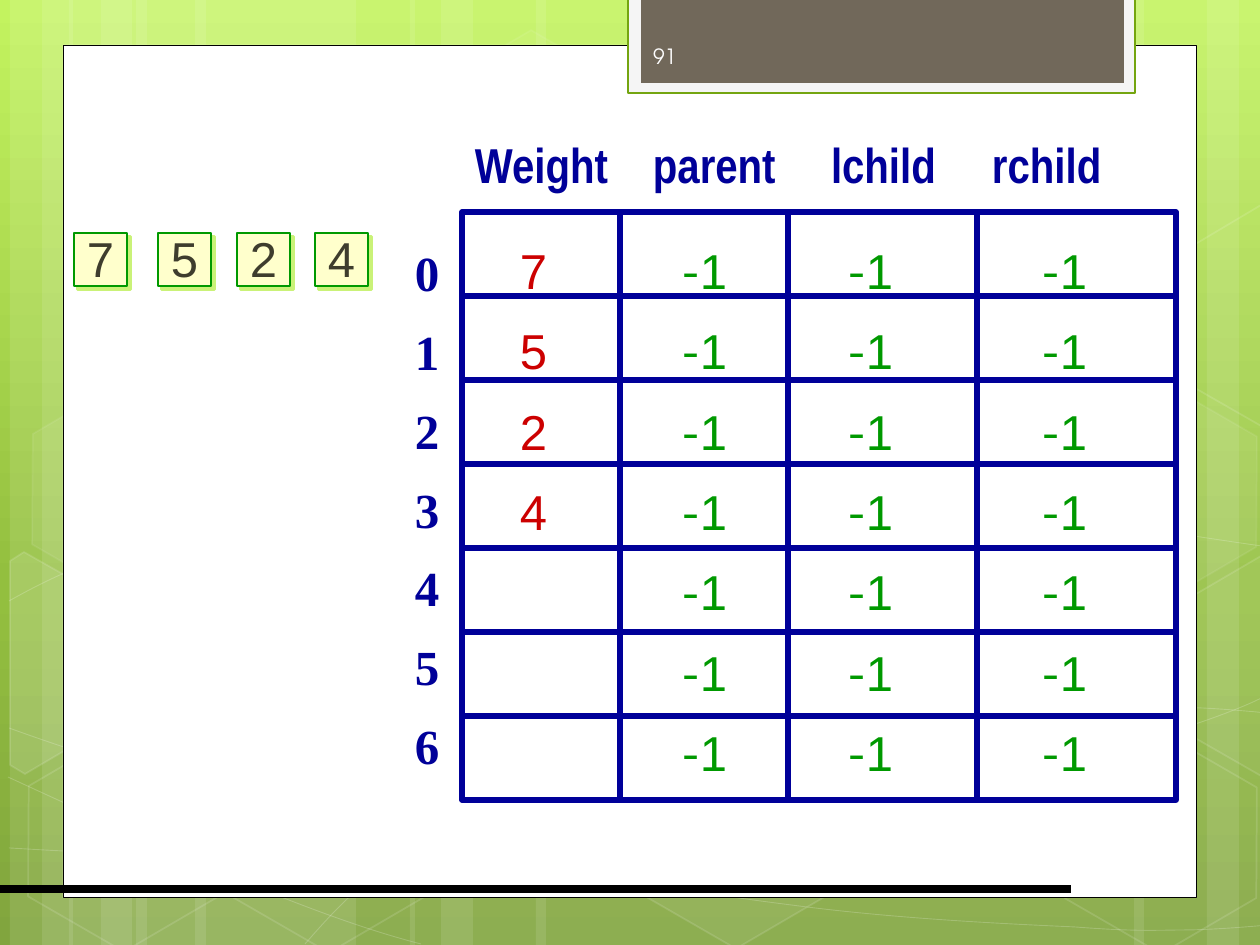
from copy import deepcopy
from typing import NamedTuple, Optional

from lxml.etree import SubElement
from pptx import Presentation
from pptx.dml.color import RGBColor
from pptx.enum.shapes import MSO_CONNECTOR as Connector, MSO_SHAPE as Preset
from pptx.enum.text import MSO_ANCHOR as Anchor, PP_ALIGN as Align
from pptx.oxml.ns import qn
from pptx.util import Emu, Inches, Pt

EMU_PER_PX = Inches(1) / 126
NAVY, GREEN, RED, WHITE = "000099", "009900", "CC0000", "FFFFFF"
NO_MARGINS = dict(margin_left=0, margin_right=0, margin_top=0, margin_bottom=0)


class Box(NamedTuple):
    left: int
    top: int
    width: int
    height: int


class Type(NamedTuple):
    name: str
    size: int
    colour: str
    bold: bool = False


class Hexagon(NamedTuple):
    left: int
    top: int
    fill_alpha: Optional[int]
    line_alpha: int


class CutHexagon(NamedTuple):
    points: list
    fill_alpha: Optional[int]


BAR_SPANS = [(136, 220), (10, 63), (42, 105), (195, 220), (69, 63), (101, 105),
             (924, 220), (1207, 63), (1134, 105), (536, 388), (410, 63), (441, 105)]

# Each curve is a start point followed by triples of cubic control points.
CURVES = [
    [(9, 848), (77, 852), (145, 856), (239, 854), (334, 853), (451, 850), (577, 838),
     (703, 825), (882, 801), (998, 777), (1113, 753), (1231, 716), (1269, 694)],
    [(9, 601), (45, 581), (82, 562), (152, 543), (224, 524), (326, 496), (437, 488),
     (549, 479), (685, 478), (824, 488), (963, 498), (1193, 537), (1269, 547)],
    [(8, 777), (160, 847), (311, 916), (421, 944)],
    [(9, 728), (48, 742), (88, 756), (161, 776), (234, 795), (344, 827), (450, 848),
     (554, 869), (687, 892), (791, 905), (896, 919), (1008, 924), (1075, 927),
     (1140, 932), (1158, 930), (1191, 930), (1223, 929), (1246, 927), (1269, 925)],
    [(305, 944), (327, 919), (350, 893), (381, 871), (411, 848), (454, 823), (489, 805),
     (524, 787), (546, 780), (592, 767), (638, 755), (722, 737), (766, 728),
     (811, 719), (818, 719), (857, 717), (896, 713), (958, 709), (1000, 708),
     (1045, 707), (1116, 708), (1116, 708), (1144, 708), (1173, 708), (1201, 708),
     (1223, 709), (1244, 711), (1256, 712), (1264, 713), (1260, 712), (1268, 713)],
]
HEXAGONS = [Hexagon(421, 45, 4, 8), Hexagon(626, 742, 6, 12), Hexagon(14, 745, None, 12),
            Hexagon(18, 393, 7, 8), Hexagon(219, 746, None, 12), Hexagon(949, 571, 10, 12),
            Hexagon(1051, 747, None, 12), Hexagon(1051, 396, 7, 8)]
CUT_HEXAGONS = [
    CutHexagon([(10, 561), (24, 552), (121, 607), (120, 718), (25, 774), (10, 765)], 10),
    CutHexagon([(1167, 611), (1261, 556), (1271, 562), (1271, 772), (1263, 777), (1167, 722)], 4),
    CutHexagon([(1167, 261), (1261, 205), (1273, 212), (1271, 422), (1263, 427), (1167, 372)], None),
]

WEIGHTS = ["7", "5", "2", "4"]
TILE_LEFTS = [74, 158, 237, 315]
ROWS, ROW_HEIGHT = 7, 84
GRID = Box(462, 212, 714, ROWS * ROW_HEIGHT)
DIVIDERS = [620, 788, 977]
HEADINGS = ["Weight", "parent", "lchild", "rchild"]
HEADING_STOPS = [178, 356, 517]
LINK_STOPS = [163, 329, 523]


def px(value: float) -> Emu:
    return Emu(round(value * EMU_PER_PX))


def colour(hex_code: str) -> RGBColor:
    return RGBColor.from_string(hex_code)


def apply(target, values: dict) -> None:
    for name, value in values.items():
        setattr(target, name, value)


def paint(fill, hex_code: Optional[str], alpha: Optional[int] = None) -> None:
    """Fill with a solid colour, alpha in percent; no colour means no fill."""
    if hex_code is None:
        fill.background()
        return
    fill.solid()
    fill.fore_color.rgb = colour(hex_code)
    if alpha is not None:
        tint = fill._xPr.find(f"{qn('a:solidFill')}/{qn('a:srgbClr')}")
        SubElement(tint, qn("a:alpha"), val=str(alpha * 1000))


def finish(shape, fill=None, fill_alpha=None, line=None, weight=1.0, line_alpha=None) -> None:
    shape.shadow.inherit = False
    paint(shape.fill, fill, fill_alpha)
    paint(shape.line.fill, line, line_alpha)
    if line:
        shape.line.width = Pt(weight)


def add_preset(slide, box: Box, preset=Preset.RECTANGLE, **look):
    shape = slide.shapes.add_shape(preset, *map(px, box))
    finish(shape, **look)
    return shape


def add_outline(slide, points: list, closed: bool, **look):
    builder = slide.shapes.build_freeform(*points[0], scale=EMU_PER_PX)
    builder.add_line_segments(points[1:], close=closed)
    shape = builder.convert_to_shape()
    finish(shape, line=WHITE, **look)
    return shape


def bend(outline) -> None:
    """Turn every three line segments into one cubic curve."""
    track = next(outline._element.iter(qn("a:path")))
    segments = track.findall(qn("a:lnTo"))
    for start in range(0, len(segments), 3):
        cubic = SubElement(track, qn("a:cubicBezTo"))
        for segment in segments[start:start + 3]:
            cubic.append(segment[0])
            track.remove(segment)


def add_rule(slide, start: tuple, end: tuple, hex_code: str, weight: float) -> None:
    rule = slide.shapes.add_connector(Connector.STRAIGHT, *map(px, start + end))
    paint(rule.line.fill, hex_code)
    rule.line.width = Pt(weight)
    SubElement(rule._element.spPr, qn("a:effectLst"))


def write(paragraph, text: str, style: Type) -> None:
    run = paragraph.add_run()
    run.text = text
    apply(run.font, dict(name=style.name, size=Pt(style.size), bold=style.bold))
    run.font.color.rgb = colour(style.colour)


def add_tabs(paragraph, stops: list) -> None:
    tabs = SubElement(paragraph._p.get_or_add_pPr(), qn("a:tabLst"))
    for stop in stops:
        SubElement(tabs, qn("a:tab"), pos=str(px(stop)), algn="l")


def add_text_frame(slide, box: Box, anchor=Anchor.MIDDLE):
    frame = slide.shapes.add_textbox(*map(px, box)).text_frame
    apply(frame, dict(NO_MARGINS, word_wrap=True, vertical_anchor=anchor))
    return frame


def add_row_paragraphs(slide, box: Box, pitch: float) -> list:
    """One paragraph for each table row, at a fixed pitch in points."""
    frame = add_text_frame(slide, box, Anchor.TOP)
    paragraphs = [frame.paragraphs[0]] + [frame.add_paragraph() for _ in range(ROWS - 1)]
    for paragraph in paragraphs:
        paragraph.line_spacing = Pt(pitch)
    return paragraphs


def draw_backdrop(slide) -> None:
    fill = slide.background.fill
    fill.gradient()
    fill.gradient_angle = 270
    stop_list = fill._fill._gradFill.find(qn("a:gsLst"))
    stop_list.append(deepcopy(stop_list[-1]))
    for stop, (position, tint) in zip(fill.gradient_stops,
                                      [(0, "C3F35F"), (0.62, "93BF3F"), (1, "81A53E")]):
        stop.position = position
        stop.color.rgb = colour(tint)
    for left, width in BAR_SPANS:
        add_preset(slide, Box(left, 0, width, 945), fill=WHITE, fill_alpha=10)
    for curve in CURVES:
        bend(add_outline(slide, curve, False, weight=0.5, line_alpha=20))
    for hexagon in HEXAGONS:
        shape = add_preset(slide, Box(hexagon.left, hexagon.top, 220, 192), Preset.HEXAGON,
                           fill=WHITE if hexagon.fill_alpha else None,
                           fill_alpha=hexagon.fill_alpha, line=WHITE,
                           line_alpha=hexagon.line_alpha)
        shape.adjustments[0] = 0.285
        shape.rotation = 30
    for piece in CUT_HEXAGONS:
        add_outline(slide, piece.points, True, fill=WHITE if piece.fill_alpha else None,
                    fill_alpha=piece.fill_alpha, line_alpha=12)


def draw_panel(slide) -> None:
    add_preset(slide, Box(63, 45, 1134, 853), fill=WHITE, line="000000", weight=0.5)
    add_preset(slide, Box(628, -2, 507, 95), fill="F5F5F5", line="74A510", weight=1.25)
    add_preset(slide, Box(641, -2, 483, 85), fill="71685A")
    add_rule(slide, (0, 889), (1071, 889), "000000", 4.5)
    page_number = add_text_frame(slide, Box(653, 31, 158, 50))
    write(page_number.paragraphs[0], "91", Type("TeX Gyre Adventor", 12, "FEFEFE"))


def draw_tile(slide, left: int, weight: str) -> None:
    tile = add_preset(slide, Box(left, 233, 53, 53), fill="FFFFCC", line=GREEN, weight=1.5)
    effects = tile._element.spPr.find(qn("a:effectLst"))
    shadow = SubElement(effects, qn("a:outerShdw"), dist=str(Pt(2.8)), dir="2700000",
                        algn="ctr", rotWithShape="0")
    SubElement(shadow, qn("a:srgbClr"), val="CAF278")
    apply(tile.text_frame, dict(NO_MARGINS, margin_bottom=px(3), word_wrap=False,
                                vertical_anchor=Anchor.MIDDLE))
    paragraph = tile.text_frame.paragraphs[0]
    paragraph.alignment = Align.CENTER
    write(paragraph, weight, Type("Arial", 28, "3E3D2D"))


def draw_grid(slide) -> None:
    add_preset(slide, GRID, line=NAVY, weight=3)
    right, bottom = GRID.left + GRID.width, GRID.top + GRID.height
    for x in DIVIDERS:
        add_rule(slide, (x, GRID.top), (x, bottom), NAVY, 3)
    for y in range(GRID.top + ROW_HEIGHT, bottom, ROW_HEIGHT):
        add_rule(slide, (GRID.left, y), (right, y), NAVY, 3)


def draw_node_values(slide) -> None:
    headings = add_text_frame(slide, Box(475, 128, 651, 72)).paragraphs[0]
    add_tabs(headings, HEADING_STOPS)
    write(headings, "\t".join(HEADINGS), Type("Arial Narrow", 28, NAVY, True))
    for row, paragraph in enumerate(add_row_paragraphs(slide, Box(520, 219, 615, 563), 45.9)):
        add_tabs(paragraph, LINK_STOPS)
        if row < len(WEIGHTS):
            write(paragraph, WEIGHTS[row], Type("Arial", 28, RED))
        for _ in LINK_STOPS:
            write(paragraph, "\t-", Type("Noto Sans CJK SC", 28, GREEN))
            write(paragraph, "1", Type("Arial", 28, GREEN))
    for row, paragraph in enumerate(add_row_paragraphs(slide, Box(402, 223, 50, 552), 45)):
        paragraph.alignment = Align.CENTER
        write(paragraph, str(row), Type("Times New Roman", 28, NAVY, True))


def main() -> None:
    deck = Presentation()
    apply(deck, dict(slide_width=px(1260), slide_height=px(945)))
    slide = deck.slides.add_slide(deck.slide_layouts[6])
    draw_backdrop(slide)
    draw_panel(slide)
    for left, weight in zip(TILE_LEFTS, WEIGHTS):
        draw_tile(slide, left, weight)
    draw_grid(slide)
    draw_node_values(slide)
    deck.save("out.pptx")


if __name__ == "__main__":
    main()
